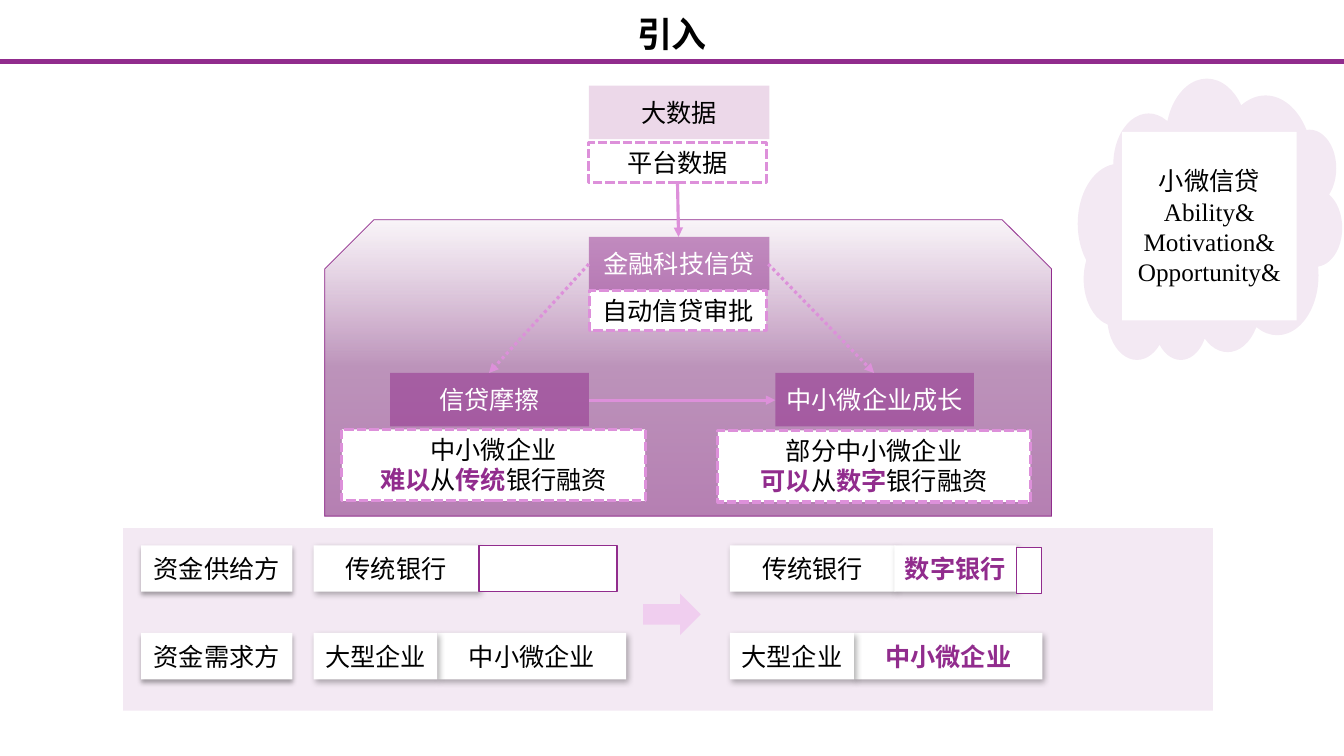
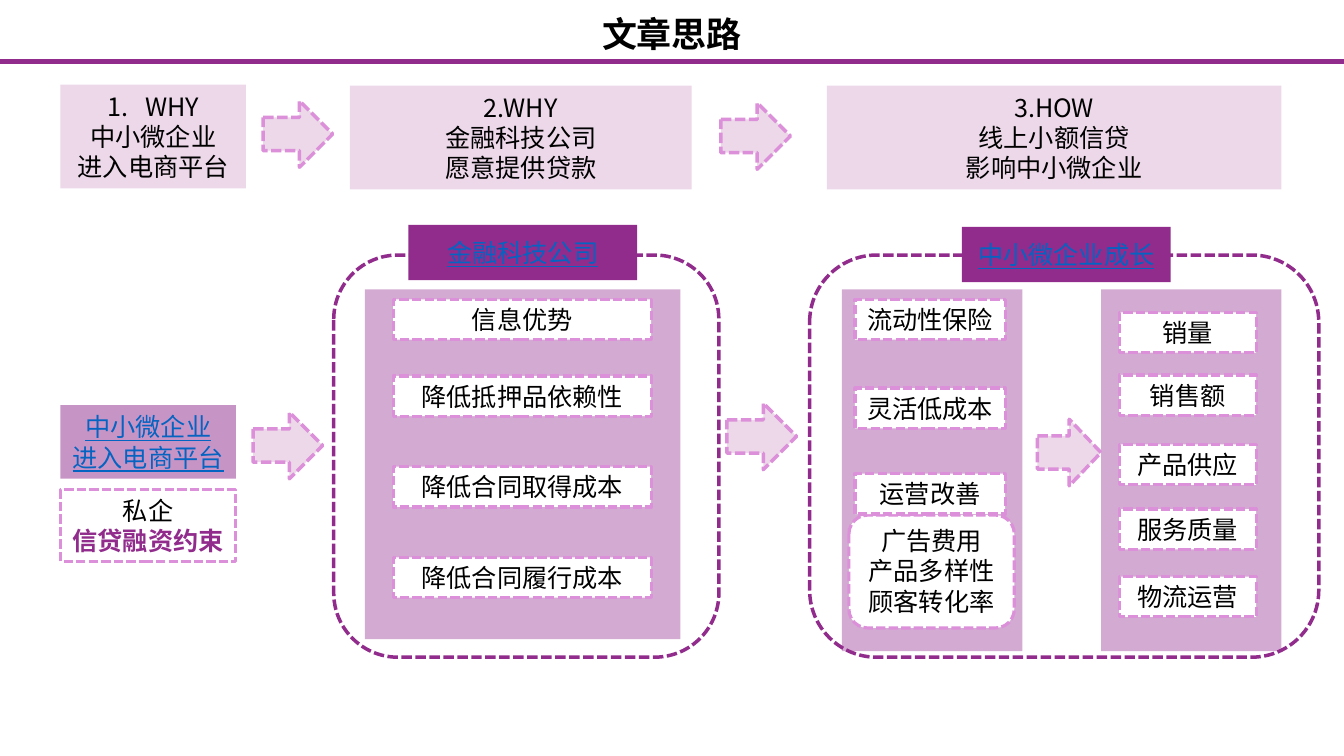
from functools import partial

from lxml import etree
from pptx import Presentation
from pptx.dml.color import RGBColor
from pptx.enum.dml import MSO_LINE
from pptx.enum.shapes import MSO_CONNECTOR, MSO_SHAPE
from pptx.enum.text import MSO_ANCHOR, PP_ALIGN
from pptx.oxml.ns import qn
from pptx.util import Inches, Pt

RECT, ROUND = MSO_SHAPE.RECTANGLE, MSO_SHAPE.ROUNDED_RECTANGLE
SNIP, CLOUD = MSO_SHAPE.SNIP_2_SAME_RECTANGLE, MSO_SHAPE.CLOUD
ARROW, STRAIGHT = MSO_SHAPE.RIGHT_ARROW, MSO_CONNECTOR.STRAIGHT
DASH, DOT = MSO_LINE.SQUARE_DOT, MSO_LINE.ROUND_DOT
TOP, MIDDLE, BOTTOM = MSO_ANCHOR.TOP, MSO_ANCHOR.MIDDLE, MSO_ANCHOR.BOTTOM
CENTER = PP_ALIGN.CENTER

SANS, SERIF = "Noto Sans CJK SC", "Times New Roman"
PURPLE, PINK, PALE, ROSE = "912C8D", "DD90DA", "ECD8E9", "F0CEEF"
WHITE, BLACK, LINK = "FFFFFF", "000000", "0563C1"

DASHED = dict(fill=WHITE, line=PINK, width=2.25, dash=DASH, anchor=TOP)
FRAME = dict(shape=ROUND, line=PURPLE, width=2.5, dash=DASH)
FLOW = dict(shape=ARROW, fill=PALE, line=PINK, width=2.5, dash=DASH)
TINT = dict(fill=PURPLE, alpha=50, color=WHITE)
PANEL = dict(fill=PURPLE, alpha=40)
HEADING = dict(fill=PURPLE, color=LINK, underline=True)
RAISED = dict(fill=WHITE, shadow=(30, 4.5, 2.6, 53))
LABEL = dict(fill=WHITE, shadow=(32, 3.5, 2.2, 90))
GAP = dict(fill=WHITE, line=PURPLE, width=1)


def rgb(value):
    """Turn a hex string into a colour."""
    return RGBColor.from_string(value)


def child(parent, tag, **attrs):
    """Append a DrawingML element with attributes."""
    return etree.SubElement(parent, qn("a:" + tag), {k: str(v) for k, v in attrs.items()})


def write(tf, text, font, size=18, color=BLACK, bold=None, underline=None,
          spacing=21.6, numbered=False):
    """Write centred lines; parts between asterisks are bold purple."""
    for i, line in enumerate(text.split("\n")):
        p = tf.add_paragraph() if i else tf.paragraphs[0]
        if numbered and i == 0:
            pPr = p._p.get_or_add_pPr()
            pPr.set("marL", str(Inches(0.38)))
            pPr.set("indent", str(-Inches(0.38)))
            child(pPr, "buAutoNum", type="arabicPeriod")
        p.alignment, p.line_spacing = CENTER, Pt(spacing)
        p.font.name, p.font.size = font, Pt(size)
        p.font.bold, p.font.underline = bold, underline
        p.font.color.rgb = rgb(color)
        child(p._p.pPr.find(qn("a:defRPr")), "ea", typeface=SANS)
        for j, part in enumerate(line.split("*")):
            if part:
                r = p.add_run()
                r.text = part
                if j % 2:
                    r.font.bold = True
                    r.font.color.rgb = rgb(PURPLE)


def box(s, x, y, w, h, text="", shape=RECT, fill=None, alpha=None, line=None,
        width=1, dash=None, shadow=None, anchor=MIDDLE, font=SANS, **style):
    """Add a styled shape with optional text."""
    sp = s.shapes.add_shape(shape, Inches(x), Inches(y), Inches(w), Inches(h))
    sp.shadow.inherit = False
    spPr = sp._element.spPr
    if fill:
        sp.fill.solid()
        sp.fill.fore_color.rgb = rgb(fill)
        if alpha:
            child(spPr.find(qn("a:solidFill"))[0], "alpha", val=alpha * 1000)
    else:
        sp.fill.background()
    if line:
        sp.line.color.rgb = rgb(line)
        sp.line.width = Pt(width)
        if dash:
            sp.line.dash_style = dash
    else:
        sp.line.fill.background()
    if shadow:
        opacity, blur, dist, angle = shadow
        outer = child(spPr.find(qn("a:effectLst")), "outerShdw", blurRad=Pt(blur),
                      dist=Pt(dist), dir=angle * 60000, algn="tl", rotWithShape=0)
        child(child(outer, "srgbClr", val=BLACK), "alpha", val=opacity * 1000)
    if text:
        tf = sp.text_frame
        tf.word_wrap, tf.vertical_anchor = True, anchor
        tf.margin_left = tf.margin_right = Inches(0.05)
        write(tf, text, font, **style)
    return sp


def connect(s, x1, y1, x2, y2, color=PINK, width=2.25, dash=None, arrow=True):
    """Draw a straight line, with an arrowhead at its end if wanted."""
    c = s.shapes.add_connector(STRAIGHT, Inches(x1), Inches(y1), Inches(x2), Inches(y2))
    c.line.color.rgb = rgb(color)
    c.line.width = Pt(width)
    if dash:
        c.line.dash_style = dash
    if arrow:
        child(c.line._get_or_add_ln(), "tailEnd", type="triangle")
    child(c._element.spPr, "effectLst")


def gradient(sp, stops):
    """Fill a shape from top to bottom with (position, colour, opacity) stops."""
    sp.fill.gradient()
    sp.fill.gradient_angle = 270
    gs_list = sp._element.spPr.find(qn("a:gradFill")).find(qn("a:gsLst"))
    for gs in list(gs_list):
        gs_list.remove(gs)
    for pos, color, opacity in stops:
        clr = child(child(gs_list, "gs", pos=pos * 1000), "srgbClr", val=color)
        child(clr, "alpha", val=opacity * 1000)


def new_slide(prs, title):
    """Add a slide with its title and rule."""
    s = prs.slides.add_slide(prs.slide_layouts[6])
    connect(s, 0, 0.61, 13.33, 0.61, PURPLE, 3, arrow=False)
    tb = s.shapes.add_textbox(0, Inches(0.08), Inches(13.33), Inches(0.48))
    tf = tb.text_frame
    tf.word_wrap, tf.vertical_anchor = True, BOTTOM
    tf.margin_bottom = Inches(0.02)
    write(tf, title, SANS, size=25, bold=True, spacing=27)
    return s


def funding_panel(put, x, y):
    """Compare the supply and demand of funds before and after."""
    put(x, y, 10.81, 1.81, fill=PURPLE, alpha=10)
    supply, demand, h = y + 0.17, y + 1.04, 0.46
    for top, name in ((supply, "资金供给方"), (demand, "资金需求方")):
        put(x + 0.18, top, 1.5, h, name, **LABEL)
    before, after = x + 1.89, x + 6.02
    for left, small in ((before, "中小微企业"), (after, "*中小微企业*")):
        put(left + 1.23, demand, 1.87, h, small, **RAISED)
        put(left, demand, 1.23, h, "大型企业", **RAISED)
        put(left, supply, 1.64, h, "传统银行", **RAISED)
    put(before + 1.64, supply, 1.37, h, **GAP)
    put(after + 1.63, supply, 1.21, h, "*数字银行*", **RAISED)
    put(after + 2.84, supply + 0.02, 0.25, h, **GAP)
    put(x + 5.16, y + 0.65, 0.57, 0.41, shape=ARROW, fill=ROSE)


def credit_model(put, link, x, y):
    """Show how data drives credit, friction and growth."""
    stage = put(x, y, 7.21, 2.94, shape=SNIP, line=PURPLE, width=0.5)
    gradient(stage, ((0, "C7A0C5", 10), (50, "BC93BA", 100), (100, "B57FB2", 100)))
    mid, low = x + 2.62, y + 1.52
    put(mid, y - 1.33, 1.79, 0.53, "大数据", fill=PALE)
    put(mid, y - 0.77, 1.76, 0.4, "平台数据", **DASHED)
    put(x + 0.65, low, 1.97, 0.53, "信贷摩擦", **TINT)
    put(x + 4.47, low, 1.97, 0.53, "中小微企业成长", **TINT)
    put(mid, y + 0.17, 1.79, 0.53, "金融科技信贷", **TINT)
    put(mid + 0.01, y + 0.7, 1.75, 0.4, "自动信贷审批", **DASHED)
    put(x + 0.17, y + 2.08, 3.01, 0.71, "中小微企业\n*难以*从*传统*银行融资", **DASHED)
    put(x + 3.9, y + 2.09, 3.1, 0.71, "部分中小微企业\n*可以*从*数字*银行融资", **DASHED)
    link(mid, y + 0.44, x + 1.63, low, dash=DOT)
    link(mid + 1.78, y + 0.44, x + 5.45, low, dash=DOT)
    link(x + 3.5, y - 0.36, x + 3.51, y + 0.17)
    link(mid, low + 0.27, x + 4.47, low + 0.27)


def cloud_note(put, x, y):
    """Place the white note on its cloud."""
    put(x, y, 2.62, 2.79, shape=CLOUD, fill=PURPLE, alpha=10).rotation = 180
    put(x + 0.44, y + 0.52, 1.73, 1.87,
        "小微信贷\nAbility&\nMotivation&\nOpportunity&", fill=WHITE)


def steps(put, x, y):
    """Lay out the three questions along the top."""
    put(x, y, 1.84, 1.03, "WHY\n中小微企业\n进入电商平台", fill=PALE, numbered=True)
    put(x + 2.87, y + 0.01, 3.39, 1.03, "2.WHY\n金融科技公司\n愿意提供贷款", fill=PALE)
    put(x + 7.6, y + 0.01, 4.51, 1.03, "3.HOW\n线上小额信贷\n影响中小微企业", fill=PALE)
    for dx, dy in ((2.01, 0.16), (6.55, 0.18)):
        put(x + dx, y + dy, 0.69, 0.66, **FLOW)


def entry(put, x, y):
    """Show the firms that join the platform."""
    put(x, y, 1.74, 0.73, "中小微企业\n进入电商平台",
        **{**TINT, "color": LINK, "underline": True})
    put(x, y + 0.84, 1.74, 0.71, "私企\n*信贷融资约束*", **DASHED)
    put(x + 1.91, y + 0.07, 0.69, 0.66, **FLOW)


def column(put, x, w, items):
    """Stack dashed one-line boxes at the given heights."""
    for y, text in items:
        put(x, y, w, 0.4, text, **DASHED)


def fintech(put, x, y):
    """List the strengths of the lenders."""
    put(x + 0.31, y + 0.34, 3.13, 3.47, **PANEL)
    column(put, x + 0.59, 2.56, ((y + 0.44, "信息优势"), (y + 1.2, "降低抵押品依赖性"),
                                 (y + 2.1, "降低合同取得成本"), (y + 3, "降低合同履行成本")))
    put(x, y, 3.82, 3.99, **FRAME)
    put(x + 0.74, y - 0.3, 2.27, 0.55, "金融科技公司", **HEADING)
    put(x + 3.9, y + 1.47, 0.69, 0.66, **FLOW)


def growth(put, x, y):
    """Lead from better operation to growth of the firms."""
    put(x, y, 5.05, 3.99, **FRAME)
    for dx in (0.32, 2.89):
        put(x + dx, y + 0.34, 1.79, 3.59, **PANEL)
    column(put, x + 3.07, 1.36, ((y + 0.57, "销量"), (y + 1.19, "销售额"),
                                 (y + 1.88, "产品供应"), (y + 2.52, "服务质量"),
                                 (y + 3.19, "物流运营")))
    put(x + 0.39, y + 2.58, 1.64, 1.12, "广告费用\n产品多样性\n顾客转化率",
        shape=ROUND, **DASHED)
    column(put, x + 0.45, 1.49, ((y + 0.44, "流动性保险"), (y + 1.32, "灵活低成本"),
                                 (y + 2.17, "运营改善")))
    put(x + 2.26, y + 1.63, 0.63, 0.66, **FLOW)
    put(x + 1.51, y - 0.28, 2.07, 0.55, "中小微企业成长", **HEADING)


def main():
    """Build and save the presentation."""
    prs = Presentation()
    prs.slide_width, prs.slide_height = Inches(13.33), Inches(7.5)

    s = new_slide(prs, "引入")
    put = partial(box, s, font=SERIF)
    funding_panel(put, 1.22, 5.24)
    credit_model(put, partial(connect, s), 3.22, 2.18)
    cloud_note(put, 10.69, 0.79)

    s = new_slide(prs, "文章思路")
    put = partial(box, s)
    steps(put, 0.6, 0.84)
    entry(put, 0.6, 4.02)
    fintech(put, 3.31, 2.53)
    growth(put, 8.03, 2.53)

    prs.save("out.pptx")


if __name__ == "__main__":
    main()
